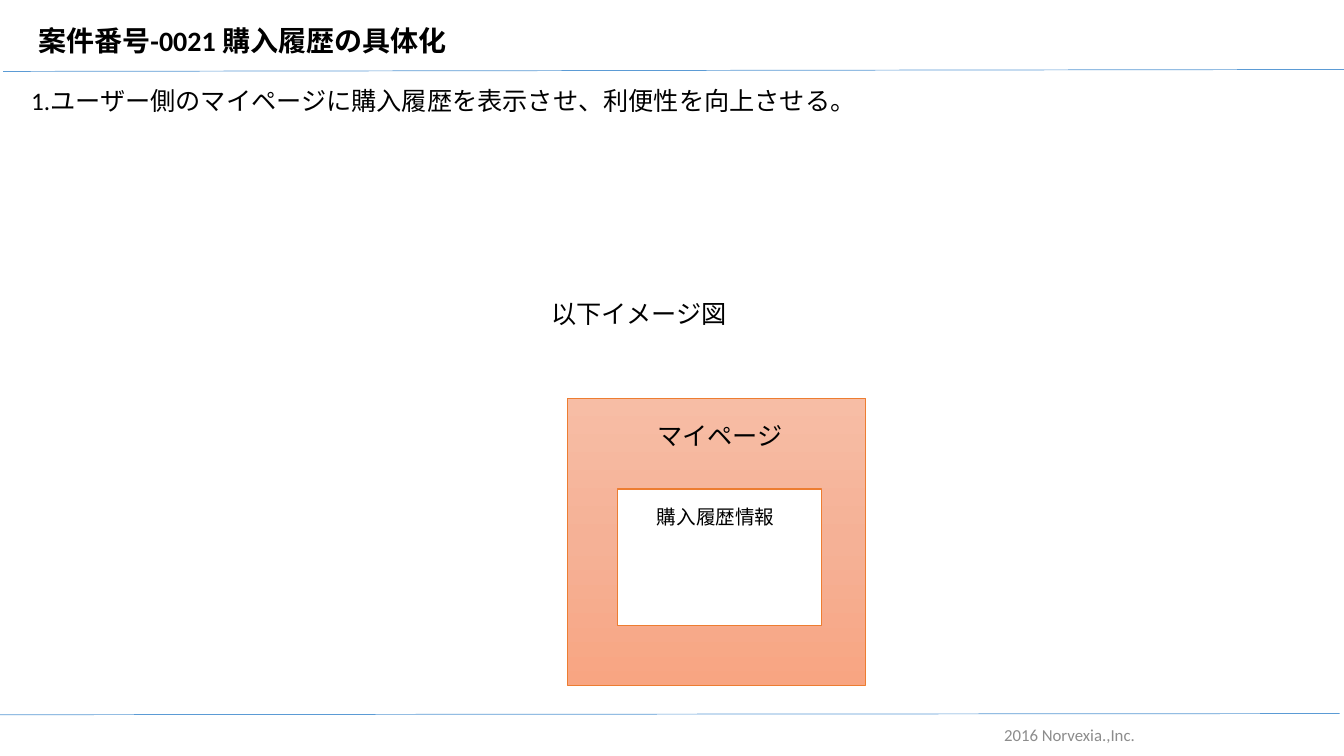
from copy import deepcopy

from pptx import Presentation
from pptx.dml.color import RGBColor
from pptx.enum.shapes import MSO_CONNECTOR, MSO_SHAPE
from pptx.enum.text import MSO_ANCHOR, MSO_AUTO_SIZE, PP_ALIGN
from pptx.oxml.ns import qn
from pptx.oxml.xmlchemy import OxmlElement
from pptx.util import Cm, Pt

BLACK = RGBColor(0x00, 0x00, 0x00)
WHITE = RGBColor(0xFF, 0xFF, 0xFF)
GREY = RGBColor(0x8C, 0x8C, 0x8C)
BLUE = RGBColor(0x5B, 0x9B, 0xD5)
ORANGE = RGBColor(0xED, 0x7D, 0x31)
PEACH_STOPS = [(0, RGBColor(0xF7, 0xBD, 0xA5)),
               (0.5, RGBColor(0xF5, 0xB1, 0x96)),
               (1, RGBColor(0xF8, 0xA5, 0x82))]


def write(frame, text, size=18, color=BLACK, bold=False, font="Calibri",
          align=PP_ALIGN.LEFT, anchor=MSO_ANCHOR.TOP):
    frame.word_wrap = True
    frame.auto_size = MSO_AUTO_SIZE.NONE
    frame.vertical_anchor = anchor
    paragraph = frame.paragraphs[0]
    paragraph.alignment = align
    paragraph.space_before = Pt(0)
    run = paragraph.add_run()
    run.text = text
    run.font.name = font
    run.font.size = Pt(size)
    run.font.bold = bold
    run.font.color.rgb = color


class SlideBuilder:
    def __init__(self, slide, rule_color, box_color):
        self.slide = slide
        self.rule_color = rule_color
        self.box_color = box_color

    def placeholder(self, idx, box, text, **style):
        holder = self.slide.placeholders[idx]
        holder.left, holder.top, holder.width, holder.height = map(Cm, box)
        write(holder.text_frame, text, **style)
        return holder

    def label(self, box, text, **style):
        textbox = self.slide.shapes.add_textbox(*map(Cm, box))
        write(textbox.text_frame, text, **style)

    def rule(self, *ends):
        line = self.slide.shapes.add_connector(
            MSO_CONNECTOR.STRAIGHT, *map(Cm, ends))
        line.line.color.rgb = self.rule_color
        line.line.width = Pt(0.5)
        line._element.spPr.append(OxmlElement("a:effectLst"))

    def panel(self, box, line_width):
        panel = self.slide.shapes.add_shape(MSO_SHAPE.RECTANGLE, *map(Cm, box))
        panel.shadow.inherit = False
        panel.line.color.rgb = self.box_color
        panel.line.width = Pt(line_width)
        return panel


def fill_gradient(shape, stops):
    shape.fill.gradient()
    shape.fill.gradient_angle = 270
    stop_list = shape._element.spPr.find(".//" + qn("a:gsLst"))
    while len(stop_list) < len(stops):
        stop_list.append(deepcopy(stop_list[0]))
    for stop, (position, color) in zip(shape.fill.gradient_stops, stops):
        stop.position = position
        stop.color.rgb = color


prs = Presentation()
prs.slide_width, prs.slide_height = Cm(33.87), Cm(19.05)
builder = SlideBuilder(prs.slides.add_slide(prs.slide_layouts[1]), BLUE, ORANGE)

# Header and footer
builder.rule(0.08, 1.8, 33.88, 1.75)
builder.rule(-0.05, 18.01, 33.76, 17.98)
builder.label((20.07, 18.01, 13.77, 1.02), "2016 Norvexia.,Inc.", size=12,
              color=GREY, align=PP_ALIGN.CENTER, anchor=MSO_ANCHOR.MIDDLE)
builder.placeholder(0, (0.71, 0.46, 26.31, 1.12), "案件番号-0021 購入履歴の具体化",
                    size=20, bold=True)

# Requirement, numbered in the text itself
requirement = builder.placeholder(
    1, (0.53, 2.01, 23.19, 1.02),
    "1.ユーザー側のマイページに購入履歴を表示させ、利便性を向上させる。")
paragraph_format = requirement.text_frame.paragraphs[0]._p.get_or_add_pPr()
paragraph_format.set("marL", "0")
paragraph_format.set("indent", "0")
paragraph_format.append(OxmlElement("a:buNone"))

# Sketch of the page
my_page = builder.panel((14.3, 10.03, 7.52, 7.24), 0.5)
fill_gradient(my_page, PEACH_STOPS)
history = builder.panel((15.57, 12.32, 5.13, 3.45), 1)
history.fill.solid()
history.fill.fore_color.rgb = WHITE
builder.label((15.67, 10.46, 4.95, 1.02), "マイページ", align=PP_ALIGN.CENTER)
builder.label((15.93, 12.6, 4.22, 0.84), "購入履歴情報", size=14,
              align=PP_ALIGN.CENTER)
builder.label((13.64, 7.39, 9.45, 1.02), "以下イメージ図")

prs.save("out.pptx")
